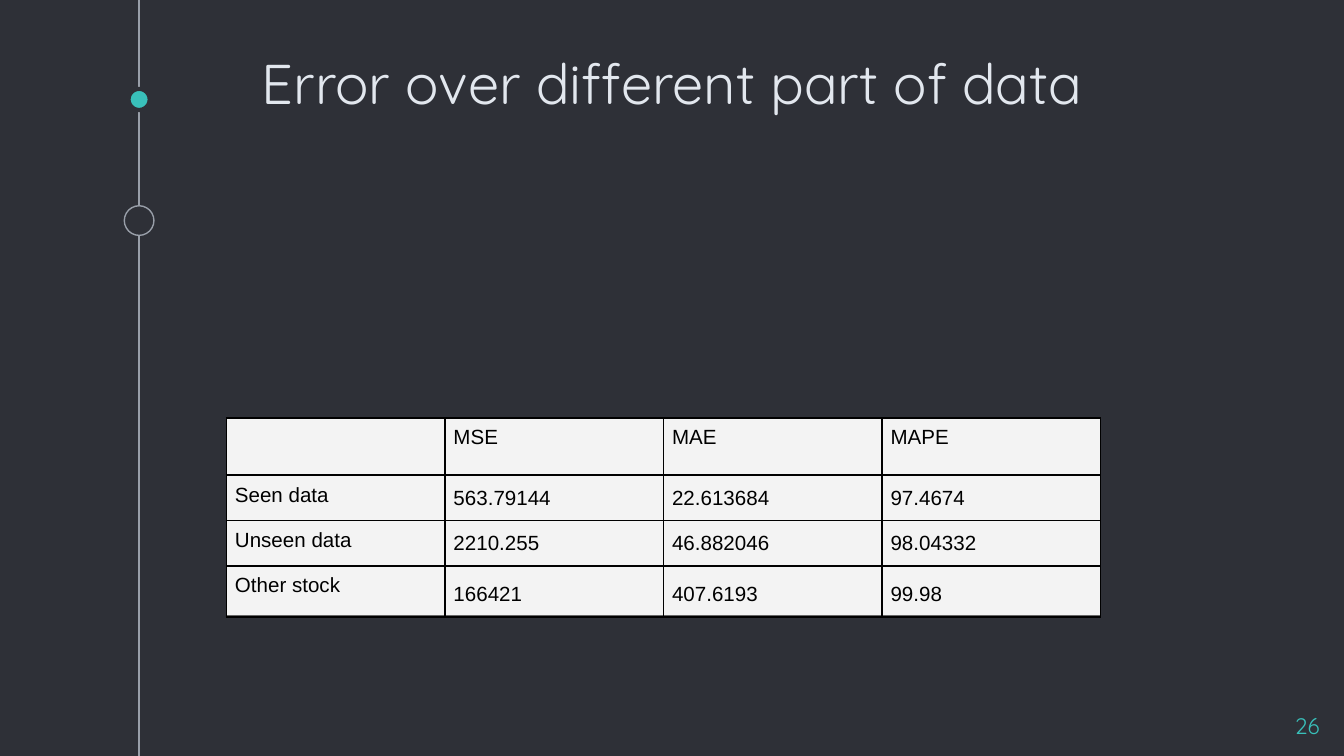
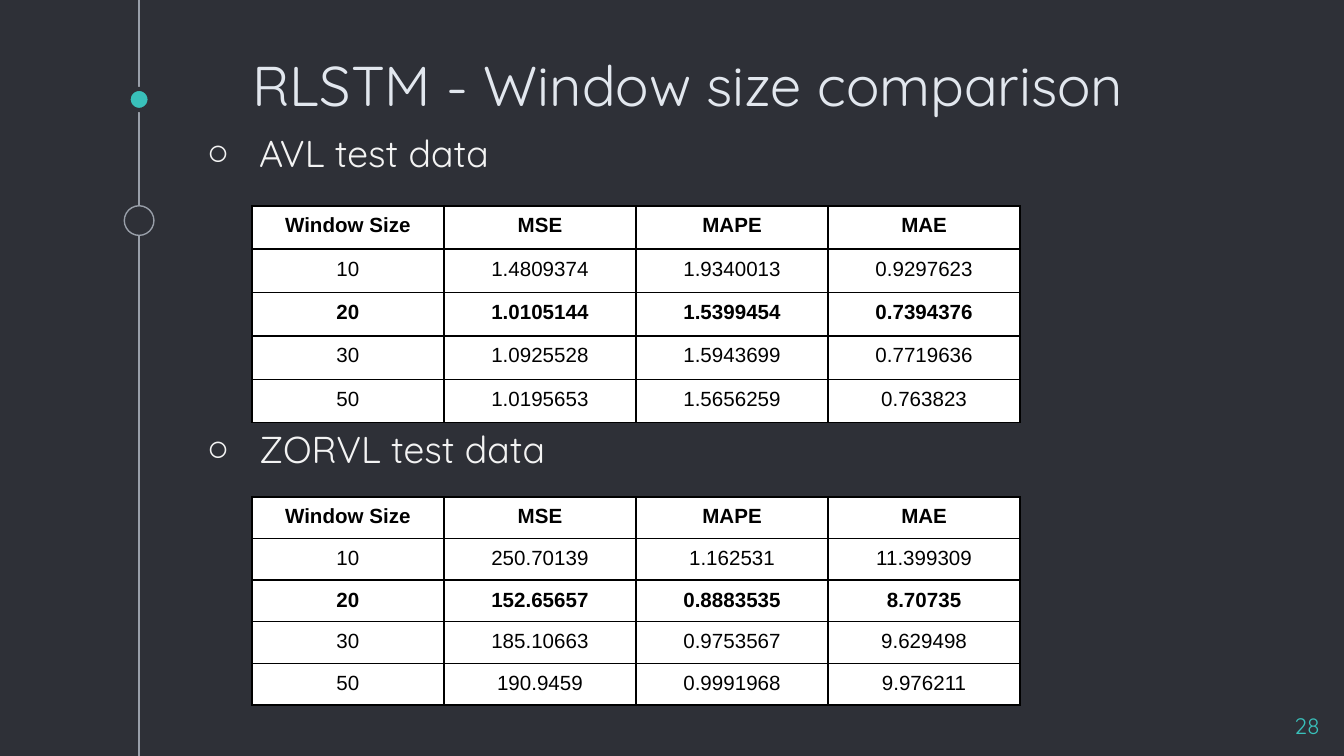
"""Build two slides that compare prediction errors."""
from dataclasses import dataclass

from lxml import etree
from pptx import Presentation
from pptx.dml.color import RGBColor
from pptx.enum.shapes import MSO_CONNECTOR, MSO_SHAPE
from pptx.enum.text import MSO_ANCHOR, PP_ALIGN
from pptx.oxml.ns import qn
from pptx.presentation import Presentation as Deck
from pptx.slide import Slide
from pptx.table import _Cell
from pptx.text.text import TextFrame, _Paragraph
from pptx.util import Cm, Pt

NIGHT = RGBColor(0x2E, 0x30, 0x37)
RAIL_GREY = RGBColor(0x99, 0x9F, 0xA9)
TEAL = RGBColor(0x39, 0xC0, 0xBA)
TITLE_INK = RGBColor(0xE2, 0xE7, 0xEE)
PALE = RGBColor(0xF3, 0xF3, 0xF3)
PANEL_EDGE = RGBColor(0x66, 0x66, 0x66)
WHITE = RGBColor(0xFF, 0xFF, 0xFF)
BLACK = RGBColor(0x00, 0x00, 0x00)

LEFT, CENTER, RIGHT = PP_ALIGN.LEFT, PP_ALIGN.CENTER, PP_ALIGN.RIGHT
TOP, BOTTOM = MSO_ANCHOR.TOP, MSO_ANCHOR.BOTTOM
OVAL, RECTANGLE = MSO_SHAPE.OVAL, MSO_SHAPE.RECTANGLE
STRAIGHT = MSO_CONNECTOR.STRAIGHT

DISPLAY_FONT, TABLE_FONT, BULLET_FONT = "Quicksand", "Arial", "Arial"
SLIDE_WIDTH, SLIDE_HEIGHT = Cm(25.4), Cm(14.29)
RAIL_X = Cm(2.63)
BOX_INSET, CELL_INSET = Cm(0.25), Cm(0.16)


@dataclass(frozen=True)
class Box:
    """Position and size in centimetres."""
    left: float
    top: float
    width: float
    height: float

    def lengths(self) -> tuple[Cm, Cm, Cm, Cm]:
        """Return the four lengths in drawing order."""
        return Cm(self.left), Cm(self.top), Cm(self.width), Cm(self.height)


@dataclass(frozen=True)
class Panel:
    """A filled and outlined preset shape."""
    kind: MSO_SHAPE
    box: Box
    fill: RGBColor
    edge: RGBColor
    edge_points: float = 0.75


@dataclass(frozen=True)
class ErrorTable:
    """A table of error measures and its look."""
    left: float
    top: float
    column_width: float
    row_heights: tuple[float, ...]
    rows: tuple[tuple[str, ...], ...]
    align: PP_ALIGN = CENTER
    fill: RGBColor | None = WHITE
    bold_rows: tuple[int, ...] = (0, 2)
    value_spacing: tuple[float, ...] = (1, 1, 1, 1, 1)


RAIL_MARKERS = (
    Panel(OVAL, Box(2.43, 1.68, 0.4, 0.4), TEAL, NIGHT, 2.25),
    Panel(OVAL, Box(2.35, 3.89, 0.56, 0.56), NIGHT, RAIL_GREY),
)
PAGE_NUMBER_BOX = Box(23.67, 13.21, 1.52, 0.86)
BACKING = Panel(RECTANGLE, Box(4.28, 7.9, 16.52, 3.74), PALE, PANEL_EDGE)
WINDOW_HEADER = ("Window Size", "MSE", "MAPE", "MAE")

DATA_PARTS = ErrorTable(
    4.28, 7.9, 4.13, (1.07, 0.84, 0.84, 0.95),
    (
        ("", "MSE", "MAE", "MAPE"),
        ("Seen data", "563.79144", "22.613684", "97.4674"),
        ("Unseen data", "2210.255", "46.882046", "98.04332"),
        ("Other stock", "166421", "407.6193", "99.98"),
    ),
    align=LEFT, fill=None, bold_rows=(), value_spacing=(1, 1.15, 1.15, 1.38),
)
FIRST_STOCK = ErrorTable(
    4.76, 3.89, 3.63, (0.82,) * 5,
    (
        WINDOW_HEADER,
        ("10", "1.4809374", "1.9340013", "0.9297623"),
        ("20", "1.0105144", "1.5399454", "0.7394376"),
        ("30", "1.0925528", "1.5943699", "0.7719636"),
        ("50", "1.0195653", "1.5656259", "0.763823"),
    ),
)
SECOND_STOCK = ErrorTable(
    4.76, 9.39, 3.63, (0.78,) * 5,
    (
        WINDOW_HEADER,
        ("10", "250.70139", "1.162531", "11.399309"),
        ("20", "152.65657", "0.8883535", "8.70735"),
        ("30", "185.10663", "0.9753567", "9.629498"),
        ("50", "190.9459", "0.9991968", "9.976211"),
    ),
)


def style_runs(paragraph: _Paragraph, font: str, points: float,
               color: RGBColor, bold: bool = False) -> None:
    """Format every run of a paragraph."""
    for run in paragraph.runs:
        run.font.name = font
        run.font.size = Pt(points)
        run.font.color.rgb = color
        run.font.bold = bold


def add_text(slide: Slide, box: Box, text: str, points: float, color: RGBColor,
             align: PP_ALIGN = LEFT, anchor: MSO_ANCHOR = TOP) -> TextFrame:
    """Add a wrapped text box in the display font."""
    frame = slide.shapes.add_textbox(*box.lengths()).text_frame
    frame.word_wrap = True
    frame.vertical_anchor = anchor
    frame.margin_left = frame.margin_right = BOX_INSET
    frame.margin_top = frame.margin_bottom = BOX_INSET
    frame.text = text
    for paragraph in frame.paragraphs:
        paragraph.alignment = align
        style_runs(paragraph, DISPLAY_FONT, points, color)
    return frame


def add_panel(slide: Slide, panel: Panel) -> None:
    """Draw a filled shape without a shadow."""
    shape = slide.shapes.add_shape(panel.kind, *panel.box.lengths())
    shape.shadow.inherit = False
    shape.fill.solid()
    shape.fill.fore_color.rgb = panel.fill
    shape.line.color.rgb = panel.edge
    shape.line.width = Pt(panel.edge_points)


def add_rail(slide: Slide) -> None:
    """Draw the vertical line with its two markers."""
    rail = slide.shapes.add_connector(STRAIGHT, RAIL_X, 0, RAIL_X, SLIDE_HEIGHT)
    rail.line.color.rgb = RAIL_GREY
    rail.line.width = Pt(0.75)
    etree.SubElement(rail._element.spPr, qn("a:effectLst"))
    for marker in RAIL_MARKERS:
        add_panel(slide, marker)


def add_topics(slide: Slide, box: Box, topics: tuple[str, ...], gap: float) -> None:
    """List topics with ring bullets and an equal gap between them."""
    frame = add_text(slide, box, "\n".join(topics), 20, PALE)
    for index, paragraph in enumerate(frame.paragraphs):
        paragraph.line_spacing = 1.15
        paragraph.space_before = Pt(gap if index else 0)
        properties = paragraph._p.get_or_add_pPr()
        properties.set("marL", str(Cm(1.27)))
        properties.set("indent", str(-Cm(0.99)))
        bullet_color = etree.SubElement(properties, qn("a:buClr"))
        etree.SubElement(bullet_color, qn("a:srgbClr"), val=str(PALE))
        etree.SubElement(properties, qn("a:buFont"), typeface=BULLET_FONT)
        etree.SubElement(properties, qn("a:buChar"), char="○")


def set_borders(cell: _Cell) -> None:
    """Give a cell thin black borders on all sides."""
    properties = cell._tc.get_or_add_tcPr()
    for position, side in enumerate(("a:lnL", "a:lnR", "a:lnT", "a:lnB")):
        border = etree.Element(qn(side), w=str(Pt(1)))
        fill = etree.SubElement(border, qn("a:solidFill"))
        etree.SubElement(fill, qn("a:srgbClr"), val=str(BLACK))
        properties.insert(position, border)


def add_error_table(slide: Slide, errors: ErrorTable) -> None:
    """Draw a bordered table of error measures."""
    heights, rows = errors.row_heights, errors.rows
    column_count = len(rows[0])
    box = Box(errors.left, errors.top,
              errors.column_width * column_count, sum(heights))
    table = slide.shapes.add_table(len(rows), column_count, *box.lengths()).table
    table.first_row = table.horz_banding = False
    for column in table.columns:
        column.width = Cm(errors.column_width)
    for row_index, values in enumerate(rows):
        table.rows[row_index].height = Cm(heights[row_index])
        for column_index, value in enumerate(values):
            cell = table.cell(row_index, column_index)
            cell.margin_left = cell.margin_right = CELL_INSET
            cell.margin_top = cell.margin_bottom = CELL_INSET
            if errors.fill is None:
                cell.fill.background()
            else:
                cell.fill.solid()
                cell.fill.fore_color.rgb = errors.fill
            set_borders(cell)
            paragraph = cell.text_frame.paragraphs[0]
            paragraph.text = value
            paragraph.alignment = errors.align
            if column_index:
                paragraph.line_spacing = float(errors.value_spacing[row_index])
            style_runs(paragraph, TABLE_FONT, 11, BLACK,
                       row_index in errors.bold_rows)


def add_base_slide(deck: Deck, title: str, title_box: Box, number: str) -> Slide:
    """Add a slide with the rail, title and page number."""
    slide = deck.slides.add_slide(deck.slide_layouts[6])
    slide.background.fill.solid()
    slide.background.fill.fore_color.rgb = NIGHT
    add_rail(slide)
    add_text(slide, title_box, title, 30, TITLE_INK, CENTER, BOTTOM)
    add_text(slide, PAGE_NUMBER_BOX, number, 12, TEAL, RIGHT)
    return slide


def main() -> None:
    """Build and save the deck."""
    deck = Presentation()
    deck.slide_width, deck.slide_height = SLIDE_WIDTH, SLIDE_HEIGHT

    data_parts = add_base_slide(deck, "Error over different part of data",
                                Box(3.18, 0.74, 19.05, 1.7), "26")
    add_panel(data_parts, BACKING)
    add_error_table(data_parts, DATA_PARTS)

    window_sizes = add_base_slide(deck, "RLSTM - Window size comparison",
                                  Box(3.48, 0.77, 19.05, 1.7), "28")
    add_topics(window_sizes, Box(3.38, 2.09, 21.29, 11.51),
               ("AVL test data", "ZORVL test data"), 131)
    for stock in (FIRST_STOCK, SECOND_STOCK):
        add_error_table(window_sizes, stock)

    deck.save("out.pptx")


if __name__ == "__main__":
    main()
